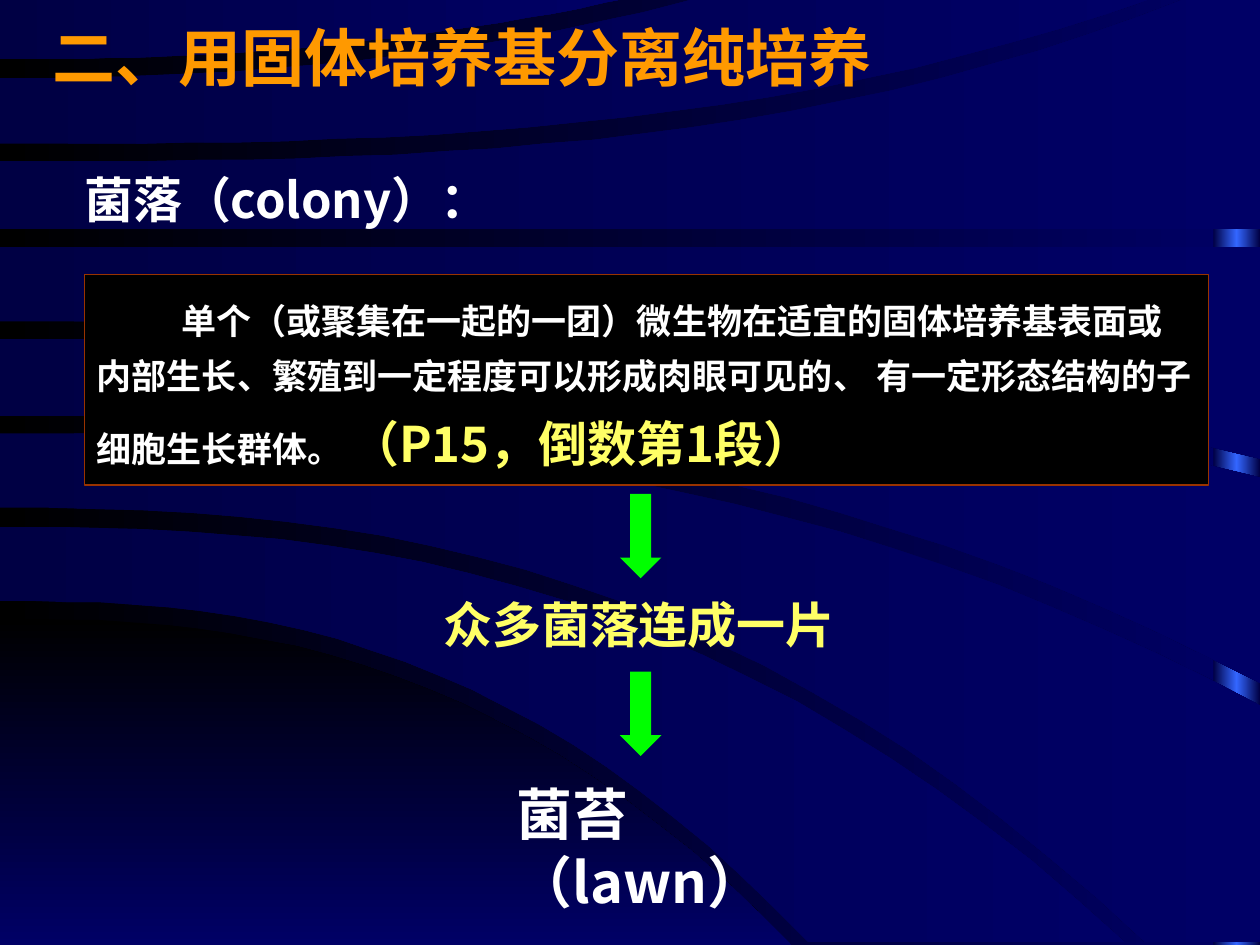
"""Build the slide on colonies and lawns of microbes."""
from copy import deepcopy
from typing import NamedTuple, Optional

from lxml import etree
from pptx import Presentation
from pptx.dml.color import RGBColor
from pptx.enum.lang import MSO_LANGUAGE_ID
from pptx.enum.shapes import MSO_SHAPE
from pptx.enum.text import MSO_ANCHOR, MSO_AUTO_SIZE, PP_ALIGN
from pptx.oxml.ns import qn
from pptx.util import Emu, Pt

PX = 9144
STEPS = 24
RECT, DOWN_ARROW = MSO_SHAPE.RECTANGLE, MSO_SHAPE.DOWN_ARROW
TOP, MIDDLE = MSO_ANCHOR.TOP, MSO_ANCHOR.MIDDLE
LEFT, GROW = PP_ALIGN.LEFT, MSO_AUTO_SIZE.SHAPE_TO_FIT_TEXT
CHINESE = MSO_LANGUAGE_ID.SIMPLIFIED_CHINESE

BLACK = RGBColor(0x00, 0x00, 0x00)
WHITE = RGBColor(0xFF, 0xFF, 0xFF)
NAVY = RGBColor(0x00, 0x00, 0x66)
DARK_NAVY = RGBColor(0x00, 0x00, 0x44)
BLUE = RGBColor(0x33, 0x66, 0xFF)
ORANGE = RGBColor(0xFF, 0x99, 0x00)
YELLOW = RGBColor(0xFF, 0xFF, 0x66)
GREEN = RGBColor(0x00, 0xFF, 0x00)
BROWN = RGBColor(0x99, 0x33, 0x00)
SANS, SERIF = "Noto Sans CJK SC", "Times New Roman"


class Box(NamedTuple):
    left: int
    top: int
    width: int
    height: int


class Run(NamedTuple):
    text: str
    size: int
    font: str
    color: RGBColor


class Label(NamedTuple):
    box: Box
    run: Run
    wrap: bool = False


class Edge(NamedTuple):
    start_y: int
    end_x: int
    end_y: int
    power: float = 2.5


class Band(NamedTuple):
    upper: Edge
    lower: Edge
    corner: tuple = ()
    colors: tuple = (DARK_NAVY, NAVY)
    angle: int = 0


BANDS = [
    Band(Edge(491, 628, 750), Edge(750, 628, 750), (), (BLACK, NAVY), 270),
    Band(Edge(418, 893, 748), Edge(477, 642, 748)),
    Band(Edge(344, 1000, 560), Edge(403, 909, 748), ((1000, 748),)),
    Band(Edge(269, 1000, 379, 2.2), Edge(330, 1000, 542)),
    Band(Edge(196, 1000, 196), Edge(255, 1000, 364, 2.25)),
    Band(Edge(128, 943, -2, 2.9), Edge(182, 1000, 182), ((1000, -2),)),
    Band(Edge(62, 556, -2, 2.3), Edge(114, 917, -2, 2.8)),
    Band(Edge(-2, 501, -2), Edge(47, 501, -2, 2.25)),
]
SIDE_BAR = Box(963, 0, 37, 750)
TITLE = Label(Box(32, 10, 672, 70), Run("二、用固体培养基分离纯培养", 36, SERIF, ORANGE))
LABELS = [
    Label(Box(57, 130, 333, 57), Run("菌落（colony）：", 28, SANS, WHITE)),
    Label(Box(342, 467, 333, 57), Run("众多菌落连成一片", 28, SERIF, YELLOW)),
    Label(Box(400, 614, 288, 63), Run("菌苔（lawn）", 32, SANS, WHITE), True),
]
DEFINITION_BOX = Box(67, 218, 892, 167)
DEFINITION = [
    Run("单个（或聚集在一起的一团）微生物在适宜的固体培养基表面或内部生长、繁殖到一定程度"
        "可以形成肉眼可见的、 有一定形态结构的子细胞生长群体。 ", 20, SANS, WHITE),
    Run("（P15，倒数第1段）", 28, SANS, YELLOW),
]
ARROWS = [Box(492, top, 33, 67) for top in (392, 533)]


def emu(box: Box) -> list:
    """Turn a box in px into EMU lengths."""
    return [Emu(v * PX) for v in box]


def trace(edge: Edge) -> list:
    """Sample an edge that bends away from the left side by a power law."""
    shares = [i / STEPS for i in range(STEPS + 1)]
    rise = edge.end_y - edge.start_y
    return [(edge.end_x * t, edge.start_y + rise * t ** edge.power) for t in shares]


def set_gradient(fill, root, colors: tuple, angle: int = 0) -> None:
    """Fill with evenly spaced colour stops."""
    fill.gradient()
    fill.gradient_angle = angle
    stop_list = root.find(".//" + qn("a:gsLst"))
    for _ in colors[2:]:
        stop_list.append(deepcopy(stop_list[0]))
    for i, (stop, color) in enumerate(zip(fill.gradient_stops, colors)):
        stop.position = i / (len(colors) - 1)
        stop.color.rgb = color


def add_preset(shapes, kind, box: Box, color: Optional[RGBColor] = None):
    """Add a flat preset shape without outline."""
    sp = shapes.add_shape(kind, *emu(box))
    sp.shadow.inherit = False
    sp.line.fill.background()
    if color is not None:
        sp.fill.solid()
        sp.fill.fore_color.rgb = color
    return sp


def add_band(shapes, band: Band) -> None:
    """Add one curved background band."""
    points = [*trace(band.upper), *band.corner, *reversed(trace(band.lower))]
    builder = shapes.build_freeform(*points[0], scale=PX)
    builder.add_line_segments(points[1:], close=True)
    sp = builder.convert_to_shape()
    sp.shadow.inherit = False
    sp.line.fill.background()
    set_gradient(sp.fill, sp.element, band.colors, band.angle)


def add_run(p, run: Run) -> None:
    """Append a bold run to a paragraph."""
    r = p.add_run()
    r.text = run.text
    formats = {"size": Pt(run.size), "bold": True, "name": run.font, "language_id": CHINESE}
    for name, value in formats.items():
        setattr(r.font, name, value)
    r.font.color.rgb = run.color
    etree.SubElement(r.font._element, qn("a:ea")).set("typeface", SANS)


def write(sp, runs: list, wrap: bool, anchor=TOP):
    """Write one left-aligned paragraph and return it."""
    tf = sp.text_frame
    for name, value in {"word_wrap": wrap, "auto_size": GROW, "vertical_anchor": anchor}.items():
        setattr(tf, name, value)
    p = tf.paragraphs[0]
    p.alignment = LEFT
    for run in runs:
        add_run(p, run)
    return p


def main() -> None:
    """Build and save the slide."""
    prs = Presentation()
    prs.slide_width, prs.slide_height = Emu(1000 * PX), Emu(750 * PX)
    s = prs.slides.add_slide(prs.slide_layouts[5])
    set_gradient(s.background.fill, s.element, (BLACK, NAVY))

    bar = add_preset(s.shapes, RECT, SIDE_BAR)
    set_gradient(bar.fill, bar.element, (DARK_NAVY, BLUE, DARK_NAVY))
    for band in BANDS:
        add_band(s.shapes, band)

    title = s.shapes.title
    title.element.getparent().append(title.element)
    title.left, title.top, title.width, title.height = emu(TITLE.box)
    write(title, [TITLE.run], TITLE.wrap)
    for label in LABELS:
        write(s.shapes.add_textbox(*emu(label.box)), [label.run], label.wrap)

    panel = add_preset(s.shapes, RECT, DEFINITION_BOX, BLACK)
    panel.line.color.rgb = BROWN
    panel.line.width = Pt(0.75)
    p = write(panel, DEFINITION, True, MIDDLE)
    p.line_spacing = 1.3
    p._p.get_or_add_pPr().set("indent", str(67 * PX))
    for box in ARROWS:
        add_preset(s.shapes, DOWN_ARROW, box, GREEN)
    prs.save("out.pptx")


if __name__ == "__main__":
    main()
